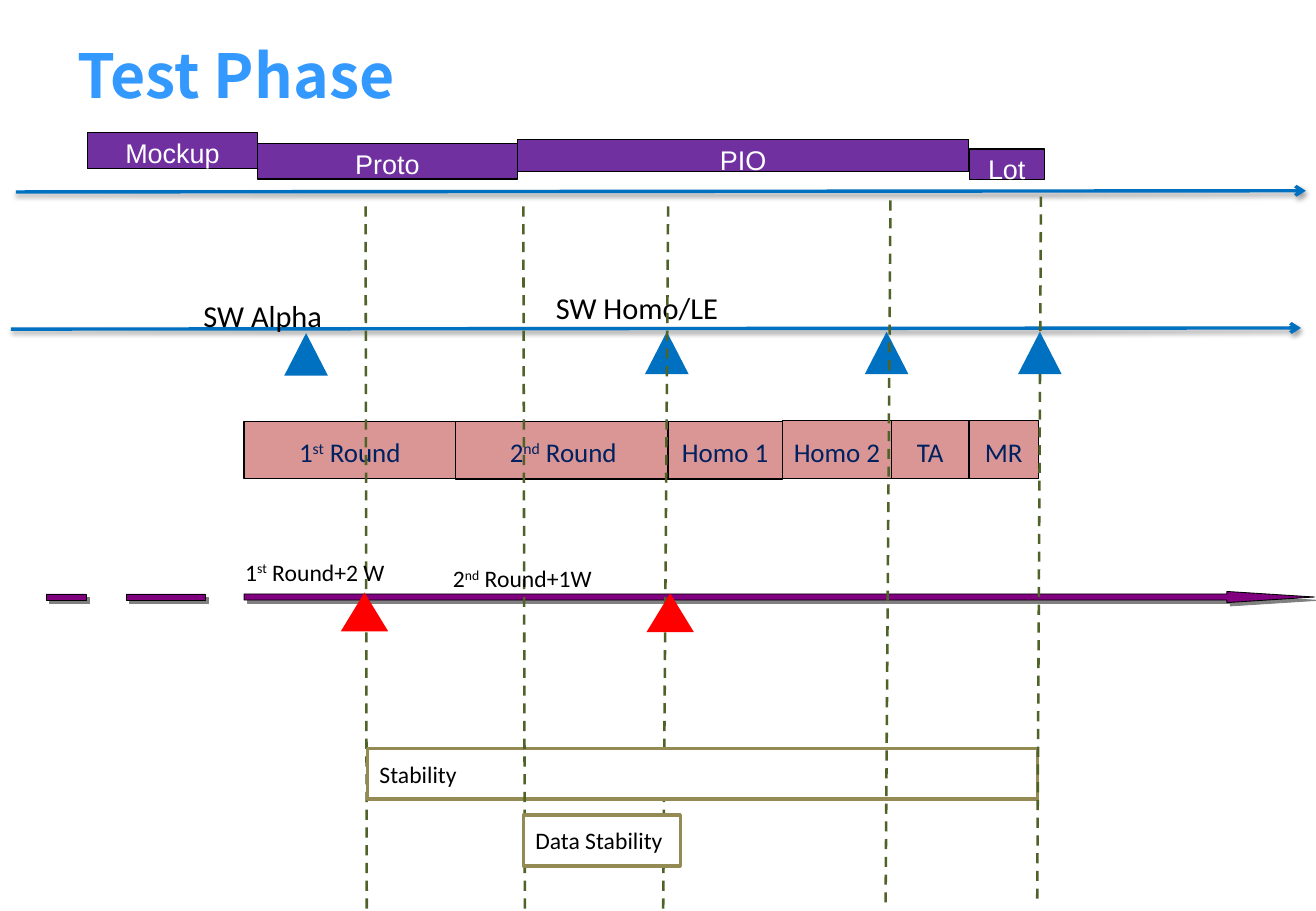
"""Build the Test Phase timeline slide."""
import dataclasses
import typing

import lxml.etree
import pptx
import pptx.dml.color
import pptx.enum.dml
import pptx.enum.shapes
import pptx.enum.text
import pptx.oxml.ns
import pptx.util

Pt = pptx.util.Pt
qn = pptx.oxml.ns.qn
Align = pptx.enum.text.PP_ALIGN
Anchor = pptx.enum.text.MSO_ANCHOR
Preset = pptx.enum.shapes.MSO_SHAPE


@dataclasses.dataclass(frozen=True)
class Theme:
    title: str = "3399FF"
    phase: str = "7030A0"
    round: str = "D99694"
    round_text: str = "002060"
    stability: str = "948A54"
    axis: str = "0070C0"
    guide: str = "4F6228"
    report: str = "800080"
    report_shadow: str = "808080"
    alert: str = "FF0000"
    black: str = "000000"
    white: str = "FFFFFF"
    title_font: str = "Noto Sans CJK SC"
    phase_font: str = "Arial"
    body_font: str = "Calibri"
    title_size: float = 36
    label_size: float = 18
    bar_size: float = 16
    small_size: float = 14


T = Theme()


@dataclasses.dataclass(frozen=True)
class BarStyle:
    fill: str
    line: str
    weight: float
    font: str
    size: float
    color: str
    align: Align
    anchor: Anchor
    inset: tuple[float, float, float, float]


TIGHT = (2.2, 2.2, 2.2, 0)
PHASE = BarStyle(T.phase, T.black, 0.75, T.phase_font, T.bar_size, T.white,
                 Align.CENTER, Anchor.TOP, TIGHT)
ROUND = BarStyle(T.round, T.black, 0.75, T.body_font, T.bar_size, T.round_text,
                 Align.CENTER, Anchor.MIDDLE, TIGHT)
STABILITY = BarStyle(T.white, T.stability, 2, T.body_font, T.small_size, T.black,
                     Align.LEFT, Anchor.MIDDLE, (7.2, 3.6, 7.2, 3.6))


class Bar(typing.NamedTuple):
    text: str
    style: BarStyle
    x: float
    y: float
    w: float
    h: float


class Milestone(typing.NamedTuple):
    x: float
    y: float
    w: float = 25.9
    h: float = 25.2
    color: str = T.axis


class Label(typing.NamedTuple):
    text: str
    x: float
    y: float
    w: float
    h: float
    size: float
    wrap: bool


class Axis(typing.NamedTuple):
    x: float
    y: float


class Guide(typing.NamedTuple):
    x: float
    y: float
    lean: float


class ReportArrow(typing.NamedTuple):
    mid: float
    dashes: tuple[tuple[float, float], ...]
    start: float
    neck: float
    tip: float


SCENE = [
    ReportArrow(353.9, ((74.9, 121.7), (27.4, 51.1)), 144.7, 727.2, 779),
    Bar("Mockup", PHASE, 51.8, 78.5, 100.8, 21.6),
    Axis(6.5, 195.1),
    Bar("Proto", PHASE, 152.6, 85, 154.1, 21.2),
    Bar("PIO", PHASE, 306.7, 82.6, 267.5, 18.9),
    Bar("Lot", PHASE, 574.4, 88.3, 44.6, 18.2),
    Milestone(168.5, 197.5),
    Label("SW Alpha", 113.5, 172.8, 128.9, 28.8, T.label_size, True),
    Milestone(382.3, 196.6),
    Label("SW Homo/LE", 322.4, 167.8, 245.5, 28.8, T.label_size, True),
    Bar("1^st^ Round", ROUND, 144.7, 249.8, 125.3, 33.8),
    Milestone(512.6, 196.6),
    Bar("2^nd^ Round", ROUND, 270.2, 249.8, 127.4, 34.2),
    Bar("TA", ROUND, 528.3, 249.3, 46.1, 34.4),
    Bar("Homo 1", ROUND, 396, 249.8, 67.7, 34.2),
    Guide(216.7, 122.4, 0.7),
    Guide(396, 122.4, -2.9),
    Bar("Stability", STABILITY, 217.8, 443.5, 397, 30.2),
    Milestone(383.2, 351.7, 28.1, 23, T.alert),
    Milestone(202, 351.2, 28.1, 23, T.alert),
    Axis(9.4, 113.8),
    Bar("Homo 2", ROUND, 463.7, 249.3, 64.8, 34.4),
    Bar("MR", ROUND, 574.4, 249.3, 41, 34.4),
    Label("1^st^ Round+2 W", 138.2, 326.9, 98.6, 24.2, T.small_size, False),
    Guide(310.2, 122.4, 0.9),
    Label("2^nd^ Round+1W", 261.4, 330.7, 98.6, 24.2, T.small_size, False),
    Guide(527.8, 118.8, -2.9),
    Guide(617, 116.6, -2.2),
    Milestone(603.4, 196.6),
    Bar("Data Stability", STABILITY, 310.2, 483.1, 93.1, 30.2),
]


def rgb(color: str) -> pptx.dml.color.RGBColor:
    return pptx.dml.color.RGBColor.from_string(color)


def put_text(tf, text: str, *, font: str, size: float, color: str, bold: bool = False,
             align: Align = Align.LEFT, anchor: Anchor = Anchor.TOP, wrap: bool = True,
             inset: tuple[float, float, float, float] = (7.2, 3.6, 7.2, 3.6)) -> None:
    tf.word_wrap, tf.vertical_anchor = wrap, anchor
    tf.margin_left, tf.margin_top, tf.margin_right, tf.margin_bottom = map(Pt, inset)
    p = tf.paragraphs[0]
    p.alignment = align
    for i, part in enumerate(text.split("^")):
        r = p.add_run()
        r.text = part
        r.font.name, r.font.size, r.font.bold = font, Pt(size), bold
        r.font.color.rgb = rgb(color)
        if i % 2:
            r._r.get_or_add_rPr().set("baseline", "30000")


def set_effects(sp, color: str = "", alpha: int = 100, blur: float = 0,
                dist: float = 0, angle: int = 0) -> None:
    effects = lxml.etree.SubElement(sp._element.spPr, qn("a:effectLst"))
    if color:
        shadow = lxml.etree.SubElement(
            effects, qn("a:outerShdw"), blurRad=str(Pt(blur)), dist=str(Pt(dist)),
            dir=str(angle * 60000), algn="ctr", rotWithShape="0")
        tone = lxml.etree.SubElement(shadow, qn("a:srgbClr"), val=color)
        lxml.etree.SubElement(tone, qn("a:alpha"), val=str(alpha * 1000))


def paint(sp, fill: str, line: str = "", weight: float = 0) -> None:
    sp.fill.solid()
    sp.fill.fore_color.rgb = rgb(fill)
    if line:
        sp.line.color.rgb, sp.line.width = rgb(line), Pt(weight)
    else:
        sp.line.fill.background()


def draw_bar(shapes, bar: Bar) -> None:
    s = bar.style
    sp = shapes.add_shape(Preset.RECTANGLE, *map(Pt, bar[2:]))
    sp.shadow.inherit = False
    paint(sp, s.fill, s.line, s.weight)
    put_text(sp.text_frame, bar.text, font=s.font, size=s.size, color=s.color,
             align=s.align, anchor=s.anchor, inset=s.inset)


def draw_milestone(shapes, mark: Milestone) -> None:
    sp = shapes.add_shape(Preset.ISOSCELES_TRIANGLE, *map(Pt, mark[:4]))
    sp.shadow.inherit = False
    paint(sp, mark.color)


def draw_label(shapes, label: Label) -> None:
    tf = shapes.add_textbox(*map(Pt, label[1:5])).text_frame
    put_text(tf, label.text, font=T.body_font, size=label.size, color=T.black, wrap=label.wrap)
    tf.auto_size = pptx.enum.text.MSO_AUTO_SIZE.SHAPE_TO_FIT_TEXT


def add_line(shapes, ends: tuple[float, ...], color: str, weight: float):
    sp = shapes.add_connector(pptx.enum.shapes.MSO_CONNECTOR.STRAIGHT, *map(Pt, ends))
    sp.line.color.rgb, sp.line.width = rgb(color), Pt(weight)
    return sp


def draw_axis(shapes, axis: Axis) -> None:
    sp = add_line(shapes, (axis.x, axis.y, axis.x + 764.6, axis.y - 0.7), T.axis, 2)
    lxml.etree.SubElement(sp.line._get_or_add_ln(), qn("a:tailEnd"), type="arrow")
    set_effects(sp, T.black, 38, 3.1, 1.6, 90)


def draw_guide(shapes, guide: Guide) -> None:
    ends = (guide.x, guide.y, guide.x + guide.lean, guide.y + 417.6)
    sp = add_line(shapes, ends, T.guide, 1.5)
    sp.line.dash_style = pptx.enum.dml.MSO_LINE.DASH
    set_effects(sp)


def draw_report_arrow(shapes, arrow: ReportArrow) -> None:
    top, bottom = arrow.mid - 1.8, arrow.mid + 1.8
    outline = [(arrow.neck, arrow.mid - 3.3), (arrow.neck, top), (arrow.start, top),
               (arrow.start, bottom), (arrow.neck, bottom), (arrow.neck, arrow.mid + 3.3),
               (arrow.tip, arrow.mid)]
    dashes = [[(a, top), (a, bottom), (b, bottom), (b, top)] for a, b in arrow.dashes]
    fb = shapes.build_freeform(*map(Pt, outline[0]))
    for i, contour in enumerate([outline, *dashes]):
        points = [(Pt(x), Pt(y)) for x, y in contour]
        if i:
            fb.move_to(*points[0])
        fb.add_line_segments(points[1:], close=True)
    sp = fb.convert_to_shape()
    paint(sp, T.report, T.black, 0.5)
    set_effects(sp, T.report_shadow, 100, 0, 2.8, 45)


DRAW = {Bar: draw_bar, Milestone: draw_milestone, Label: draw_label, Axis: draw_axis,
        Guide: draw_guide, ReportArrow: draw_report_arrow}


def main() -> None:
    prs = pptx.Presentation()
    prs.slide_width, prs.slide_height = Pt(780), Pt(540)
    shapes = prs.slides.add_slide(prs.slide_layouts[5]).shapes
    title = shapes.title
    title.left, title.top, title.width, title.height = map(Pt, (38.9, 12.2, 702, 63.4))
    put_text(title.text_frame, "Test Phase", font=T.title_font, size=T.title_size,
             color=T.title, bold=True, anchor=Anchor.MIDDLE)
    for item in SCENE:
        DRAW[type(item)](shapes, item)
    prs.save("out.pptx")


if __name__ == "__main__":
    main()
